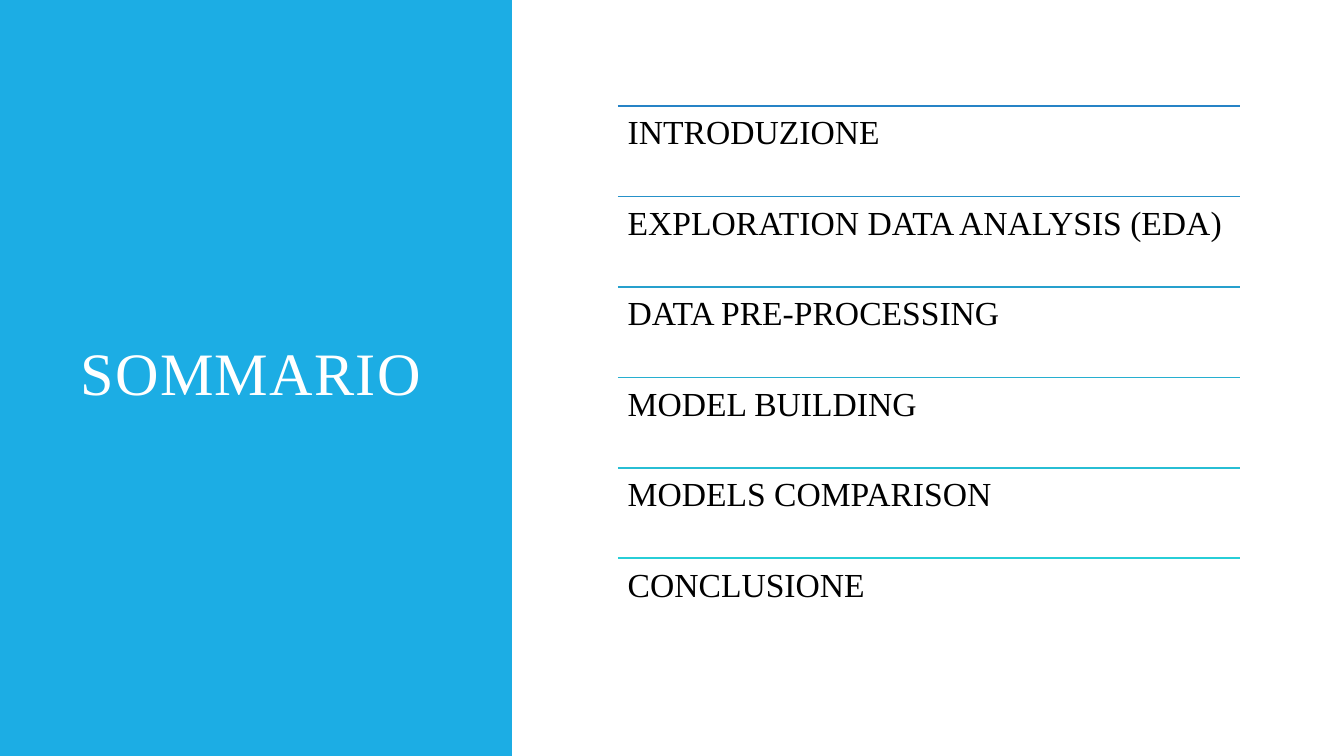
"""Build the agenda slide: a blue title panel and six ruled topics."""
from lxml.etree import SubElement
from pptx import Presentation
from pptx.dml.color import RGBColor
from pptx.enum.shapes import MSO_CONNECTOR, MSO_SHAPE
from pptx.enum.text import MSO_ANCHOR as Anchor, PP_ALIGN as Align
from pptx.oxml.ns import qn
from pptx.util import Cm, Pt

TITLE = "SOMMARIO"
TOPICS = [
    ("INTRODUZIONE", "rule1"),
    ("EXPLORATION DATA ANALYSIS (EDA)", "rule2"),
    ("DATA PRE-PROCESSING", "rule3"),
    ("MODEL BUILDING", "rule4"),
    ("MODELS COMPARISON", "rule5"),
    ("CONCLUSIONE", "rule6"),
]
COLORS = {
    "panel": "1CADE4", "title": "FFFFFF", "text": "000000",
    "rule1": "2683C6", "rule2": "2691C9", "rule3": "26A0CD",
    "rule4": "27AFD0", "rule5": "27BED4", "rule6": "27CED7",
}
FONT = "Times New Roman"
WIDTH, HEIGHT, PANEL_W = 33.87, 19.05, 12.9
MARGIN, TITLE_W = 1.78, 9.5
LIST_X, LIST_Y, LIST_W, ROW_H = 15.57, 2.67, 15.67, 2.28
INSET = 0.25


def color(name):
    return RGBColor.from_string(COLORS[name])


def write(sp, text, *, size, ink, anchor=Anchor.TOP, leading=1.0, after=0, spacing=0):
    tf = sp.text_frame
    tf.word_wrap = True
    tf.vertical_anchor = anchor
    tf.margin_left = tf.margin_right = tf.margin_top = tf.margin_bottom = Cm(INSET)
    p = tf.paragraphs[0]
    p.alignment = Align.LEFT
    p.line_spacing = leading
    p.space_after = Pt(after)
    r = p.add_run()
    r.text = text
    r.font.name = FONT
    r.font.size = Pt(size)
    r.font.color.rgb = color(ink)
    if spacing:
        r.font._element.set("spc", str(spacing * 100))


def add_panel(s):
    panel = s.shapes.add_shape(MSO_SHAPE.RECTANGLE, 0, 0, Cm(PANEL_W), Cm(HEIGHT))
    panel.shadow.inherit = False
    panel.fill.solid()
    panel.fill.fore_color.rgb = color("panel")
    panel.line.fill.background()
    s.shapes.title._element.addprevious(panel._element)


def add_topic(s, y, text, rule):
    x, right = Cm(LIST_X), Cm(LIST_X + LIST_W)
    line = s.shapes.add_connector(MSO_CONNECTOR.STRAIGHT, x, y, right, y)
    line.line.color.rgb = color(rule)
    line.line.width = Pt(1.25)
    SubElement(line._element.spPr, qn("a:effectLst"))
    box = s.shapes.add_textbox(x, y, Cm(LIST_W), Cm(ROW_H))
    write(box, text, size=24, ink="text", leading=0.9, after=8.4)


def main():
    prs = Presentation()
    prs.slide_width, prs.slide_height = Cm(WIDTH), Cm(HEIGHT)
    s = prs.slides.add_slide(prs.slide_layouts[5])
    add_panel(s)
    title = s.shapes.title
    title.left, title.top = Cm(MARGIN), Cm(MARGIN)
    title.width, title.height = Cm(TITLE_W), Cm(HEIGHT - 2 * MARGIN)
    write(title, TITLE, size=43, ink="title", anchor=Anchor.MIDDLE, leading=0.8, spacing=1)
    for i, (text, rule) in enumerate(TOPICS):
        add_topic(s, Cm(LIST_Y + i * ROW_H), text, rule)
    prs.save("out.pptx")


if __name__ == "__main__":
    main()
